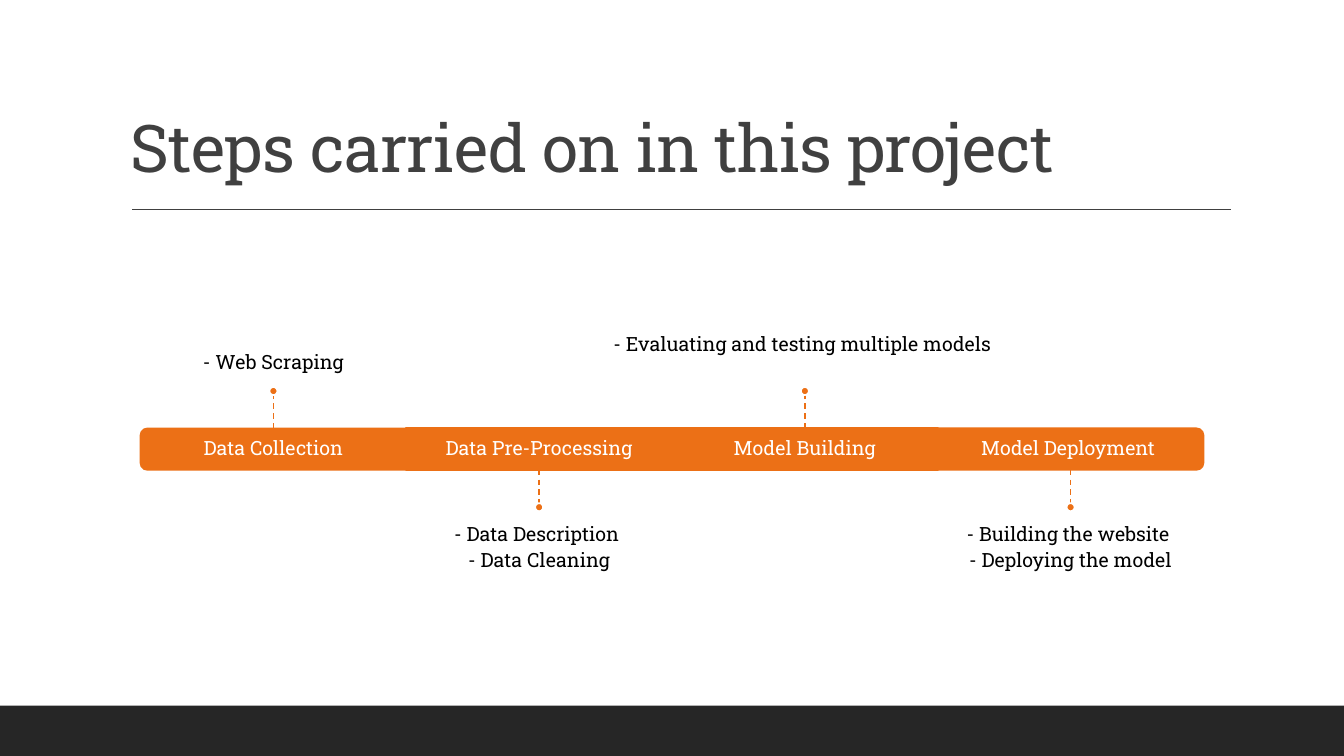
import dataclasses
import pptx
import pptx.util
import pptx.dml.color
import pptx.enum.dml
import pptx.enum.shapes
import pptx.enum.text
import pptx.oxml

Pt = pptx.util.Pt
RGB = pptx.dml.color.RGBColor.from_string
Kind = pptx.enum.shapes.MSO_SHAPE
Anchor = pptx.enum.text.MSO_ANCHOR
Align = pptx.enum.text.PP_ALIGN


@dataclasses.dataclass(frozen=True)
class Theme:
    font: str = "Roboto Slab"
    title: float = 47
    body: float = 14
    dark: str = "262626"
    grey: str = "404040"
    orange: str = "EC7016"
    white: str = "FFFFFF"
    black: str = "000000"


theme = Theme()

# Label, notes, side of the bar, extra gap between notes and bar
steps = [
    ("Data Collection", ["- Web Scraping"], "up", 0),
    ("Data Pre-Processing", ["- Data Description ", "- Data Cleaning"], "down", 0),
    ("Model Building", ["- Evaluating and testing multiple models "], "up", 20),
    ("Model Deployment ", ["- Building the website ", "- Deploying the model"], "down", 0),
]


def add_text(slide, box, lines, size, color, anchor, pads, align=Align.CENTER):
    shape = slide.shapes.add_textbox(*map(Pt, box))
    frame = shape.text_frame
    frame.word_wrap = True
    frame.vertical_anchor = anchor
    (frame.margin_left, frame.margin_top,
     frame.margin_right, frame.margin_bottom) = map(Pt, pads)
    frame.text = "\n".join(lines)
    for para in frame.paragraphs:
        para.alignment = align
        para.line_spacing = 0.9
        para.space_after = Pt(3.4)
        for run in para.runs:
            run.font.name = theme.font
            run.font.size = Pt(size)
            run.font.color.rgb = RGB(color)
    return shape


def add_block(slide, kind, box, fill, edge=None):
    shape = slide.shapes.add_shape(kind, *map(Pt, box))
    shape.shadow.inherit = False
    shape.fill.solid()
    shape.fill.fore_color.rgb = RGB(fill)
    if edge:
        shape.line.color.rgb = RGB(edge)
        shape.line.width = Pt(1.25)
    else:
        shape.line.fill.background()
    return shape


def add_line(slide, ends, color, dash=False):
    line = slide.shapes.add_connector(
        pptx.enum.shapes.MSO_CONNECTOR.STRAIGHT, *map(Pt, ends))
    line.line.color.rgb = RGB(color)
    line.line.width = Pt(1)
    if dash:
        line.line.dash_style = pptx.enum.dml.MSO_LINE.DASH
    line._element.spPr.append(pptx.oxml.parse_xml(
        '<a:effectLst xmlns:a="http://schemas.openxmlformats.org/drawingml/2006/main"/>'))
    return line


def add_head(slide, box):
    """Title with the rule below it."""
    left, top, width, height = box
    shape = add_text(slide, box, ["Steps carried on in this project"], theme.title,
                     theme.grey, Anchor.BOTTOM, (7.2, 3.6, 7.2, 3.6), Align.LEFT)
    for run in shape.text_frame.paragraphs[0].runs:
        run.font._element.set("spc", "-50")
    rule = top + height + 13
    add_line(slide, (left + 8, rule, left + width + 1, rule), theme.grey)


def add_step(slide, box, step, turn):
    """One part of the bar with its pin and notes; turn rotates a rounded end."""
    label, notes, side, gap = step
    left, top, width, height = box
    mid, up = left + width / 2, side == "up"

    # Bar part
    if turn:
        part = add_block(slide, Kind.ROUND_2_SAME_RECTANGLE,
                         (mid - height / 2, top + height / 2 - width / 2, height, width),
                         theme.orange, theme.orange)
        part.rotation = turn
    else:
        part = add_block(slide, Kind.RECTANGLE, box, theme.orange, theme.orange)
    add_text(slide, box, [label], theme.body, theme.white, Anchor.MIDDLE, (8.6,) * 4)

    # Notes
    wide, tall, pad = 316, 104.4, 8.6
    if up:
        area = (mid - wide / 2, top - 30.2 - tall, wide, tall)
        add_text(slide, area, notes, theme.body, theme.black, Anchor.BOTTOM,
                 (0, 0, 0, pad + gap))
    else:
        area = (mid - wide / 2, top + height + 30.2, wide, tall)
        add_text(slide, area, notes, theme.body, theme.black, Anchor.TOP,
                 (0, pad + gap, 0, 0))

    # Pin
    stem, dot = 23.8, 5.8
    edge = top if up else top + height
    tip = edge - stem if up else edge + stem
    pin = add_line(slide, (mid, edge, mid, tip), theme.orange, dash=True)
    if not turn:
        pin.begin_connect(part, 0 if up else 2)
    add_block(slide, Kind.OVAL, (mid - dot / 2, tip - dot if up else tip, dot, dot),
              theme.orange, theme.white)


def add_flow(slide, box):
    """Row of equal steps."""
    left, top, width, height = box
    each = width / len(steps)
    turns = [270] + [0] * (len(steps) - 2) + [90]
    for i, (step, turn) in enumerate(zip(steps, turns)):
        add_step(slide, (left + i * each, top, each, height), step, turn)


def add_foot(slide, box):
    """Dark band along the bottom."""
    add_block(slide, Kind.RECTANGLE, box, theme.dark)


def main():
    deck = pptx.Presentation()
    deck.slide_width, deck.slide_height = Pt(960), Pt(540)
    slide = deck.slides.add_slide(deck.slide_layouts[6])
    add_foot(slide, (0, 504, 960, 36))
    add_head(slide, (86.4, 22.4, 792, 114.4))
    add_flow(slide, (100.4, 306, 759.2, 29.6))
    deck.save("out.pptx")


if __name__ == "__main__":
    main()
